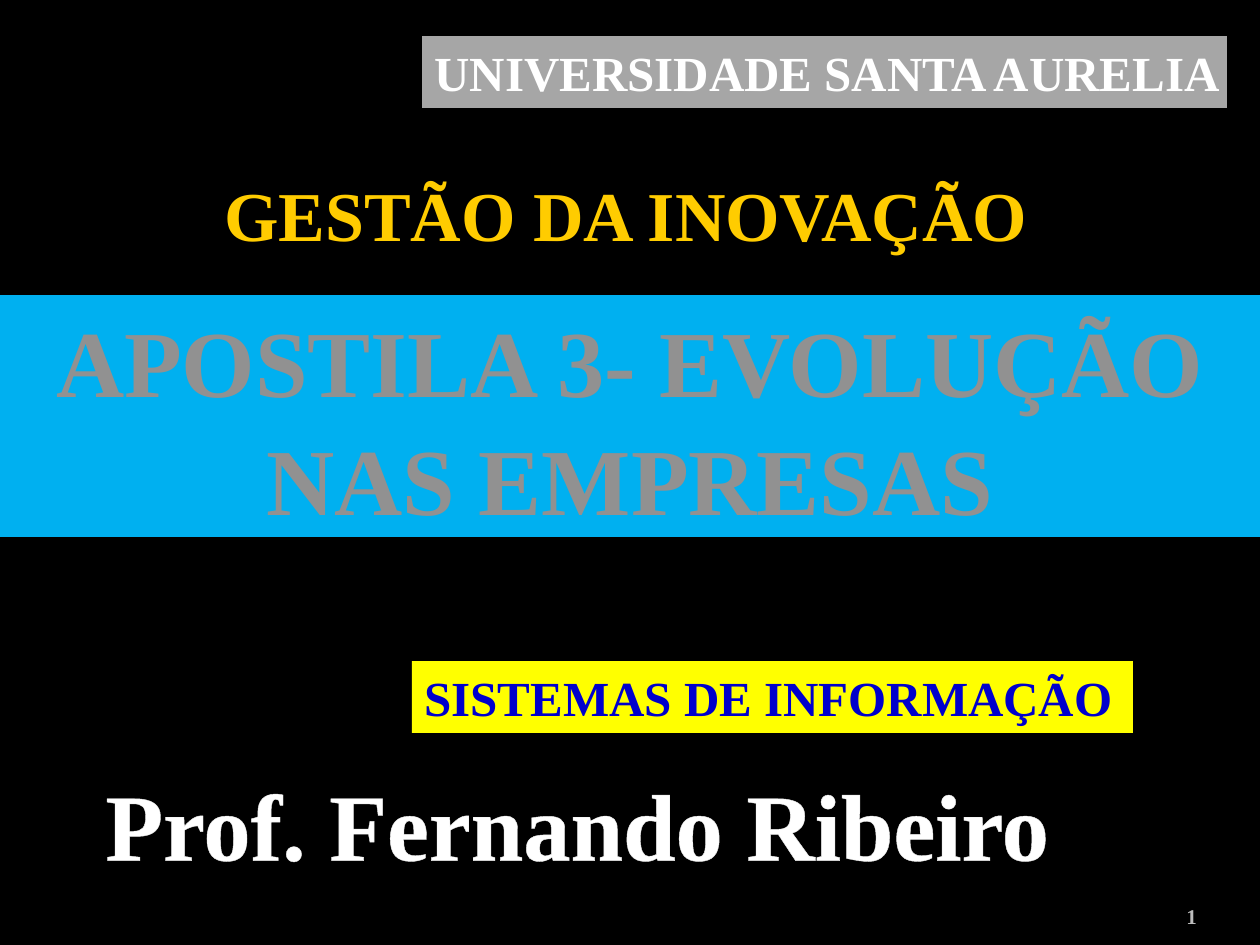
import pptx
import pptx.util
import pptx.dml.color
import pptx.enum.text
import lxml.etree

PX = 914400 // 126
ALIGN = pptx.enum.text.PP_ALIGN
ANCHOR = pptx.enum.text.MSO_ANCHOR

THEME = {
    "font": "Times New Roman",
    "back": "000000", "band": "00B0F0", "grey": "A6A6A6", "yellow": "FFFF00",
    "title": "919191", "white": "FFFFFF", "blue": "0000CC", "gold": "FFCC00",
    "page": "BCBCBC", "edge": "E6E6E6",
    "huge": 54, "large": 40, "mid": 28, "small": 12,
}

# Content: text, box in px (left, top, width, height), size, ink, fill, align
TITLE = ("APOSTILA 3- EVOLUÇÃO NAS EMPRESAS", (0, 295, 1260, 242),
         "huge", "title", "band", ALIGN.CENTER)
PROF = ("Prof. Fernando Ribeiro", (88, 760, 979, 242),
        "huge", "white", None, ALIGN.CENTER)
LABELS = [
    ("UNIVERSIDADE SANTA AURELIA", (422, 36, 805, 72),
     "mid", "white", "grey", ALIGN.LEFT),
    ("SISTEMAS DE INFORMAÇÃO", (412, 661, 721, 72),
     "mid", "blue", "yellow", ALIGN.LEFT),
    ("GESTÃO DA INOVAÇÃO", (212, 165, 837, 97),
     "large", "gold", None, ALIGN.LEFT),
]
PAGE = ("1", (1092, 885, 105, 50), "small", "page", None, ALIGN.RIGHT)


def color(name):
    return pptx.dml.color.RGBColor.from_string(THEME[name])


def paint(fill, name):
    fill.solid()
    fill.fore_color.rgb = color(name)


def write(shape, item, wrap=False, anchor=ANCHOR.TOP):
    """Place a shape, fill it and set its one run of text."""
    text, box, size, ink, fill, align = item
    shape.left, shape.top, shape.width, shape.height = [n * PX for n in box]
    if fill:
        paint(shape.fill, fill)
    frame = shape.text_frame
    frame.word_wrap = wrap
    frame.auto_size = pptx.enum.text.MSO_AUTO_SIZE.NONE
    frame.vertical_anchor = anchor
    para = frame.paragraphs[0]
    para.alignment = align
    run = para.add_run()
    run.text = text
    font = run.font
    font.name = THEME["font"]
    font.size = pptx.util.Pt(THEME[size])
    font.bold = True
    font.color.rgb = color(ink)
    return run


def edge(run, name, width):
    """Outline the letters of a run."""
    ns = "http://schemas.openxmlformats.org/drawingml/2006/main"
    line = lxml.etree.Element(f"{{{ns}}}ln", w=str(pptx.util.Pt(width)))
    fill = lxml.etree.SubElement(line, f"{{{ns}}}solidFill")
    lxml.etree.SubElement(fill, f"{{{ns}}}srgbClr", val=THEME[name])
    run.font._element.insert(0, line)


def main():
    deck = pptx.Presentation()
    deck.slide_width, deck.slide_height = 1260 * PX, 945 * PX
    slide = deck.slides.add_slide(deck.slide_layouts[5])
    paint(slide.background.fill, "back")

    def add_box():
        return slide.shapes.add_textbox(0, 0, PX, PX)

    # Title band
    title = slide.shapes.title
    write(title, TITLE, wrap=True, anchor=ANCHOR.MIDDLE)
    title.text_frame.paragraphs[0].line_spacing = 1.04

    # Teacher, with outlined letters
    edge(write(add_box(), PROF), "edge", 2.48)

    # Labels
    for item in LABELS:
        write(add_box(), item)

    # Page number
    page = add_box()
    write(page, PAGE, wrap=True, anchor=ANCHOR.BOTTOM)
    page.text_frame.margin_left = page.text_frame.margin_right = 0

    deck.save("out.pptx")


if __name__ == "__main__":
    main()
